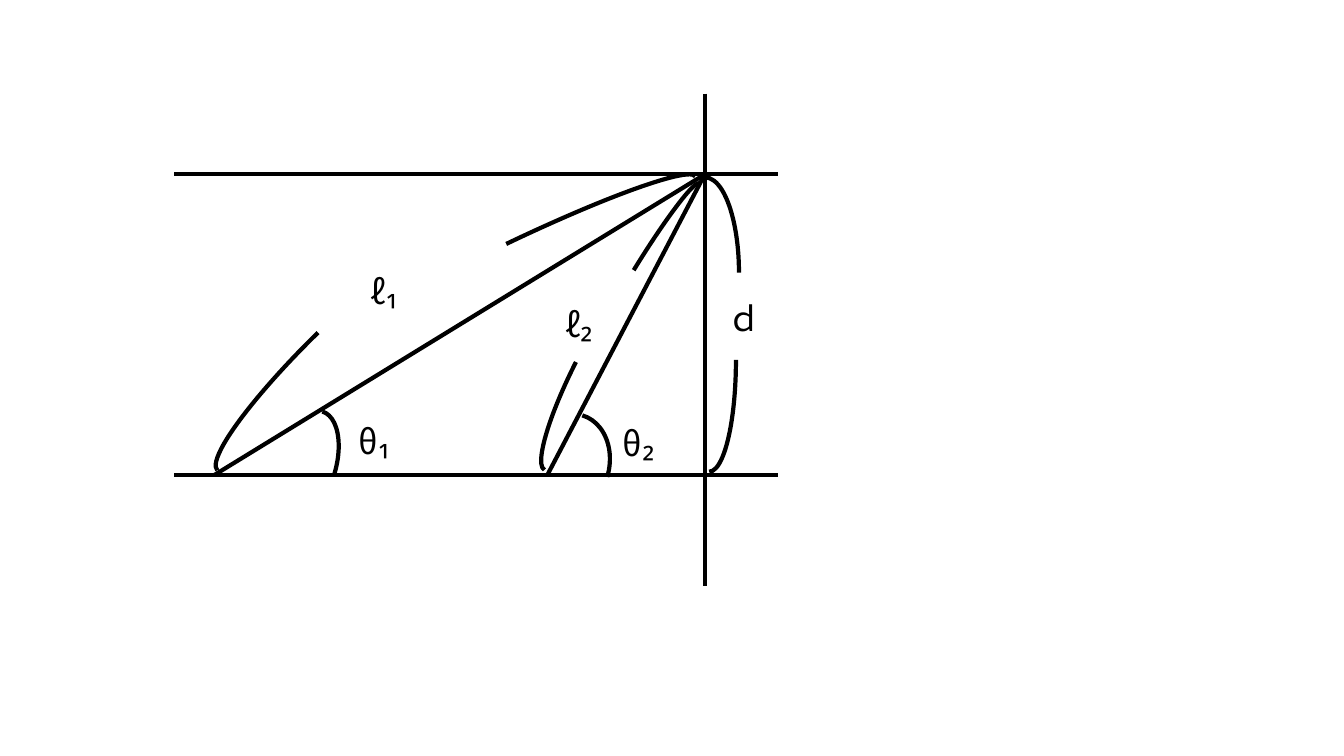
from lxml import etree
from pptx import Presentation
from pptx.dml.color import RGBColor
from pptx.enum.shapes import MSO_CONNECTOR, MSO_SHAPE
from pptx.enum.text import MSO_AUTO_SIZE
from pptx.oxml.ns import qn
from pptx.util import Pt

STRAIGHT = MSO_CONNECTOR.STRAIGHT
ARC = MSO_SHAPE.ARC
GROW = MSO_AUTO_SIZE.SHAPE_TO_FIT_TEXT
PX = 9144
FONT = "Noto Sans CJK JP"
BLACK = "000000"


def rgb(value):
    return RGBColor.from_string(value)


def add_label(text, left, top, width, height=50, size=24, color=BLACK):
    box = s.shapes.add_textbox(left * PX, top * PX, width * PX, height * PX)
    tf = box.text_frame
    tf.word_wrap = True
    tf.auto_size = GROW
    r = tf.paragraphs[0].add_run()
    r.text = text
    r.font.size = Pt(size)
    r.font.name = FONT
    r.font.color.rgb = rgb(color)
    for tag in ("a:ea", "a:cs"):
        etree.SubElement(r.font._element, qn(tag)).set("typeface", FONT)


prs = Presentation()
prs.slide_width = 1333 * PX
prs.slide_height = 750 * PX
s = prs.slides.add_slide(prs.slide_layouts[6])

left, right, top, bottom, wall = 173, 772, 173, 471, 699
lines = [
    (left, bottom, right, bottom),
    (left, top, right, top),
    (wall, 93, wall, 581),
    (wall, top, 213, bottom),
    (wall, top, 543, bottom),
]
for ends in lines:
    c = s.shapes.add_connector(STRAIGHT, *[v * PX for v in ends])
    c.line.color.rgb = rgb(BLACK)
    c.line.width = Pt(3)
    etree.SubElement(c._element.spPr, qn("a:effectLst"))

arcs = [
    (275, 406, 58, 111, 16.5, None),
    (522, 410, 82, 103, 16.5, None),
    (313, 240, 396, 41, 334.4, None),
    (168, 322, 334, 56, 315.7, "flipH"),
    (480, 348, 219, 41, 296.9, "flipH"),
    (530, 263, 215, 21, 301.5, None),
    (666, 176, 67, 189, 0, None),
    (677, 246, 53, 222, 0, "flipV"),
]
for x, y, w, h, angle, flip in arcs:
    arc = s.shapes.add_shape(ARC, x * PX, y * PX, w * PX, h * PX)
    arc.shadow.inherit = False
    arc.fill.background()
    arc.line.color.rgb = rgb(BLACK)
    arc.line.width = Pt(3)
    arc.rotation = angle
    if flip:
        arc._element.spPr.xfrm.set(flip, "1")

add_label("ℓ₁", 358, 264, 73)
add_label("ℓ₂", 551, 297, 73)
add_label("θ₁", 346, 413, 75)
add_label("θ₂", 608, 415, 78)
add_label("ｄ", 712, 291, 73)

prs.save("out.pptx")
